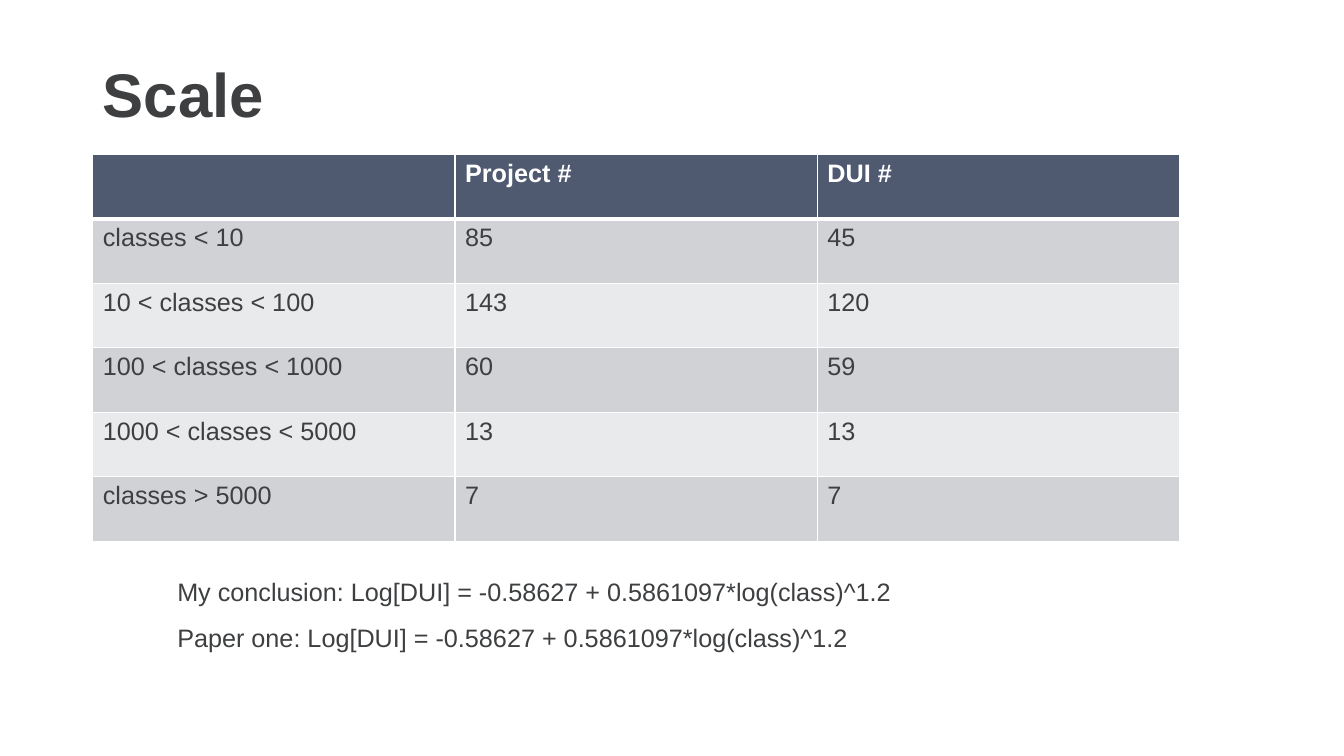
import pptx
import pptx.dml.color
import pptx.enum.text
import pptx.oxml
import pptx.oxml.ns
import pptx.util
from pptx.util import Inches

WHITE = pptx.dml.color.RGBColor(0xFF, 0xFF, 0xFF)
INK = pptx.dml.color.RGBColor(0x3D, 0x3F, 0x41)
HEADER = pptx.dml.color.RGBColor(0x4F, 0x5A, 0x71)
BAND_DARK = pptx.dml.color.RGBColor(0xD0, 0xD2, 0xD5)
BAND_LIGHT = pptx.dml.color.RGBColor(0xE9, 0xEA, 0xEB)

SCALE_ROWS = [
    ("", "Project #", "DUI #"),
    ("classes < 10", "85", "45"),
    ("10 < classes < 100", "143", "120"),
    ("100 < classes < 1000", "60", "59"),
    ("1000 < classes < 5000", "13", "13"),
    ("classes > 5000", "7", "7"),
]
FORMULAS = [
    "My conclusion: Log[DUI] = -0.58627 + 0.5861097*log(class)^1.2",
    "Paper one: Log[DUI] = -0.58627 + 0.5861097*log(class)^1.2",
]


def set_font(paragraph, size, color, bold=False):
    paragraph.font.name = "Arial"
    paragraph.font.size = pptx.util.Pt(size)
    paragraph.font.bold = bold
    paragraph.font.color.rgb = color


def add_title(slide, text, left, top, width, height):
    title = slide.shapes.title
    title.left, title.top = Inches(left), Inches(top)
    title.width, title.height = Inches(width), Inches(height)
    frame = title.text_frame
    frame.text = text
    frame.auto_size = pptx.enum.text.MSO_AUTO_SIZE.NONE
    frame.vertical_anchor = pptx.enum.text.MSO_ANCHOR.MIDDLE
    paragraph = frame.paragraphs[0]
    paragraph.alignment = pptx.enum.text.PP_ALIGN.LEFT
    paragraph.line_spacing = 0.9
    set_font(paragraph, 44, INK, True)


def add_borders(cell, top, bottom):
    properties = cell._tc.get_or_add_tcPr()
    for side, points in (("L", 1), ("R", 1), ("T", top), ("B", bottom)):
        properties.append(pptx.oxml.parse_xml(
            f'<a:ln{side} {pptx.oxml.ns.nsdecls("a")} w="{pptx.util.Pt(points)}">'
            f'<a:solidFill><a:srgbClr val="{WHITE}"/></a:solidFill></a:ln{side}>'
        ))


def add_scale_table(slide, rows, left, top, width, height):
    table = slide.shapes.add_table(
        len(rows), len(rows[0]),
        Inches(left), Inches(top), Inches(width), Inches(height),
    ).table
    for row_index, row in enumerate(rows):
        is_header = row_index == 0
        band = BAND_DARK if row_index % 2 else BAND_LIGHT
        for column_index, text in enumerate(row):
            cell = table.cell(row_index, column_index)
            cell.text = text
            add_borders(cell, 3 if row_index == 1 else 1, 3 if is_header else 1)
            cell.fill.solid()
            cell.fill.fore_color.rgb = HEADER if is_header else band
            set_font(cell.text_frame.paragraphs[0], 18, WHITE if is_header else INK, is_header)


def add_formulas(slide, formulas, left, top, width, height):
    box = slide.shapes.add_textbox(Inches(left), Inches(top), Inches(width), Inches(height))
    frame = box.text_frame
    frame.word_wrap = True
    frame.auto_size = pptx.enum.text.MSO_AUTO_SIZE.SHAPE_TO_FIT_TEXT
    for index, formula in enumerate(formulas):
        paragraph = frame.add_paragraph() if index else frame.paragraphs[0]
        paragraph.text = formula
        paragraph.level = 1
        paragraph.line_spacing = 1.5
        properties = paragraph._p.get_or_add_pPr()
        properties.set("marL", str(Inches(0.5)))
        properties.set("indent", "0")
        set_font(paragraph, 18, INK)


def main():
    presentation = pptx.Presentation()
    presentation.slide_width = Inches(13.33)
    presentation.slide_height = Inches(7.5)
    slide = presentation.slides.add_slide(presentation.slide_layouts.get_by_name("Title Only"))
    slide.background.fill.solid()
    slide.background.fill.fore_color.rgb = WHITE
    add_title(slide, "Scale", 0.92, 0.4, 11.5, 1.13)
    add_scale_table(slide, SCALE_ROWS, 0.92, 1.53, 10.78, 3.84)
    add_formulas(slide, FORMULAS, 1.16, 5.52, 10.68, 1)
    presentation.save("out.pptx")


if __name__ == "__main__":
    main()
